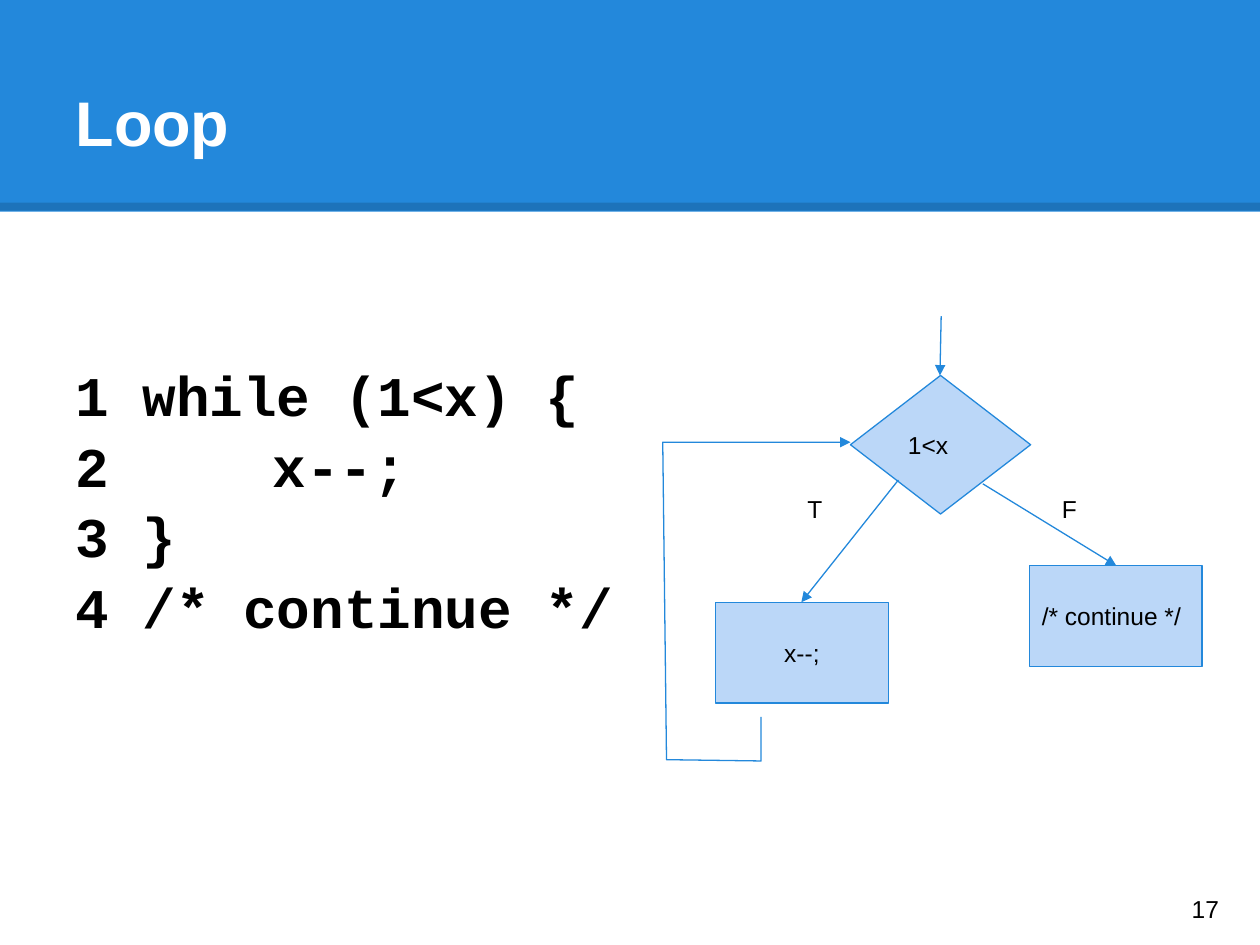
from lxml import etree
from pptx import Presentation
from pptx.dml.color import RGBColor
from pptx.enum.shapes import MSO_CONNECTOR, MSO_SHAPE
from pptx.enum.text import MSO_ANCHOR, PP_ALIGN
from pptx.oxml.ns import qn
from pptx.util import Inches, Pt

STRAIGHT = MSO_CONNECTOR.STRAIGHT
RECTANGLE, DIAMOND = MSO_SHAPE.RECTANGLE, MSO_SHAPE.DIAMOND
TOP, MIDDLE = MSO_ANCHOR.TOP, MSO_ANCHOR.MIDDLE
LEFT, CENTER = PP_ALIGN.LEFT, PP_ALIGN.CENTER
COLORS = {name: RGBColor.from_string(value) for name, value in {
    "blue": "2388DB", "light": "BBD7F8", "black": "000000", "white": "FFFFFF",
}.items()}


def write(shape, lines, size=14, font="Arial", color="black", bold=False,
          align=LEFT, anchor=MIDDLE, insets=(0.1, 0.1, 0.1, 0.1), gap=0):
    frame = shape.text_frame
    frame.word_wrap = True
    frame.vertical_anchor = anchor
    (frame.margin_left, frame.margin_top,
     frame.margin_right, frame.margin_bottom) = map(Inches, insets)
    for index, line in enumerate(lines):
        paragraph = frame.add_paragraph() if index else frame.paragraphs[0]
        paragraph.text = line
        paragraph.alignment = align
        paragraph.space_before = Pt(gap if index else 0)
        paragraph.font.size = Pt(size)
        paragraph.font.name = font
        paragraph.font.bold = bold
        paragraph.font.color.rgb = COLORS[color]


def style_line(shape, color="blue", width=0.75, arrow=True):
    shape.line.color.rgb = COLORS[color]
    shape.line.width = Pt(width)
    if arrow:
        etree.SubElement(shape.line._get_or_add_ln(), qn("a:tailEnd"), type="triangle")
    properties = shape._element.spPr
    if properties.find(qn("a:effectLst")) is None:
        etree.SubElement(properties, qn("a:effectLst"))


presentation = Presentation()
presentation.slide_width, presentation.slide_height = Inches(10), Inches(7.5)
slide = presentation.slides.add_slide(presentation.slide_layouts[5])
shapes = slide.shapes
title = shapes.title

# Header band with a translucent lower edge
band = shapes.add_shape(RECTANGLE, 0, 0, Inches(10), Inches(1.68))
band.shadow.inherit = False
band.fill.solid()
band.fill.fore_color.rgb = COLORS["blue"]
band.line.fill.background()
edge = shapes.add_connector(STRAIGHT, 0, Inches(1.64), Inches(10), Inches(1.64))
style_line(edge, "black", 4.5, arrow=False)
edge_color = edge._element.spPr.find(".//" + qn("a:srgbClr"))
etree.SubElement(edge_color, qn("a:alpha"), val="15000")

# Title, moved in front of the band
title.left, title.top, title.width, title.height = map(Inches, (0.5, 0.3, 7.72, 1.25))
write(title, ["Loop"], 36, color="white", bold=True, insets=(0.1, 0.13, 0.05, 0.05))
edge._element.addnext(title._element)

# Code listing
code = shapes.add_textbox(*map(Inches, (0.5, 2.72, 5.16, 2.23)))
write(code, ["1 while (1<x) {", "2\t    x--;", "3 }", "4 /* continue */"],
      32, "Courier New", bold=True, anchor=TOP, insets=(0.1, 0.14, 0.1, 0.05), gap=2)

# Flowchart nodes
for kind, text, align, *box in [
    (RECTANGLE, "x--;", CENTER, 5.68, 4.78, 1.37, 0.8),
    (RECTANGLE, "/* continue */", LEFT, 8.17, 4.49, 1.37, 0.8),
    (DIAMOND, "1<x", LEFT, 6.75, 2.98, 1.43, 1.1),
]:
    node = shapes.add_shape(kind, *map(Inches, box))
    node.shadow.inherit = False
    node.fill.solid()
    node.fill.fore_color.rgb = COLORS["light"]
    style_line(node, arrow=False)
    write(node, [text], align=align)

# Arrows: entry, true branch, false branch
for ends in [(7.47, 2.51, 7.46, 2.98), (7.13, 3.81, 6.36, 4.78), (7.8, 3.84, 8.86, 4.49)]:
    style_line(shapes.add_connector(STRAIGHT, *map(Inches, ends)))

# Path back to the condition
start, *corners = [(Inches(x), Inches(y)) for x, y in
                   [(6.04, 5.69), (6.04, 6.04), (5.29, 6.03), (5.26, 3.51), (6.75, 3.51)]]
builder = shapes.build_freeform(*start)
builder.add_line_segments(corners, close=False)
loop_back = builder.convert_to_shape()
loop_back.shadow.inherit = False
loop_back.fill.background()
style_line(loop_back)

# Branch labels and page number
for text, anchor, *box in [
    ("T", TOP, 6.31, 3.82, 0.44, 0.3),
    ("F", TOP, 8.33, 3.82, 0.44, 0.3),
    ("17", MIDDLE, 9.36, 6.93, 0.6, 0.57),
]:
    write(shapes.add_textbox(*map(Inches, box)), [text], anchor=anchor)

presentation.save("out.pptx")
